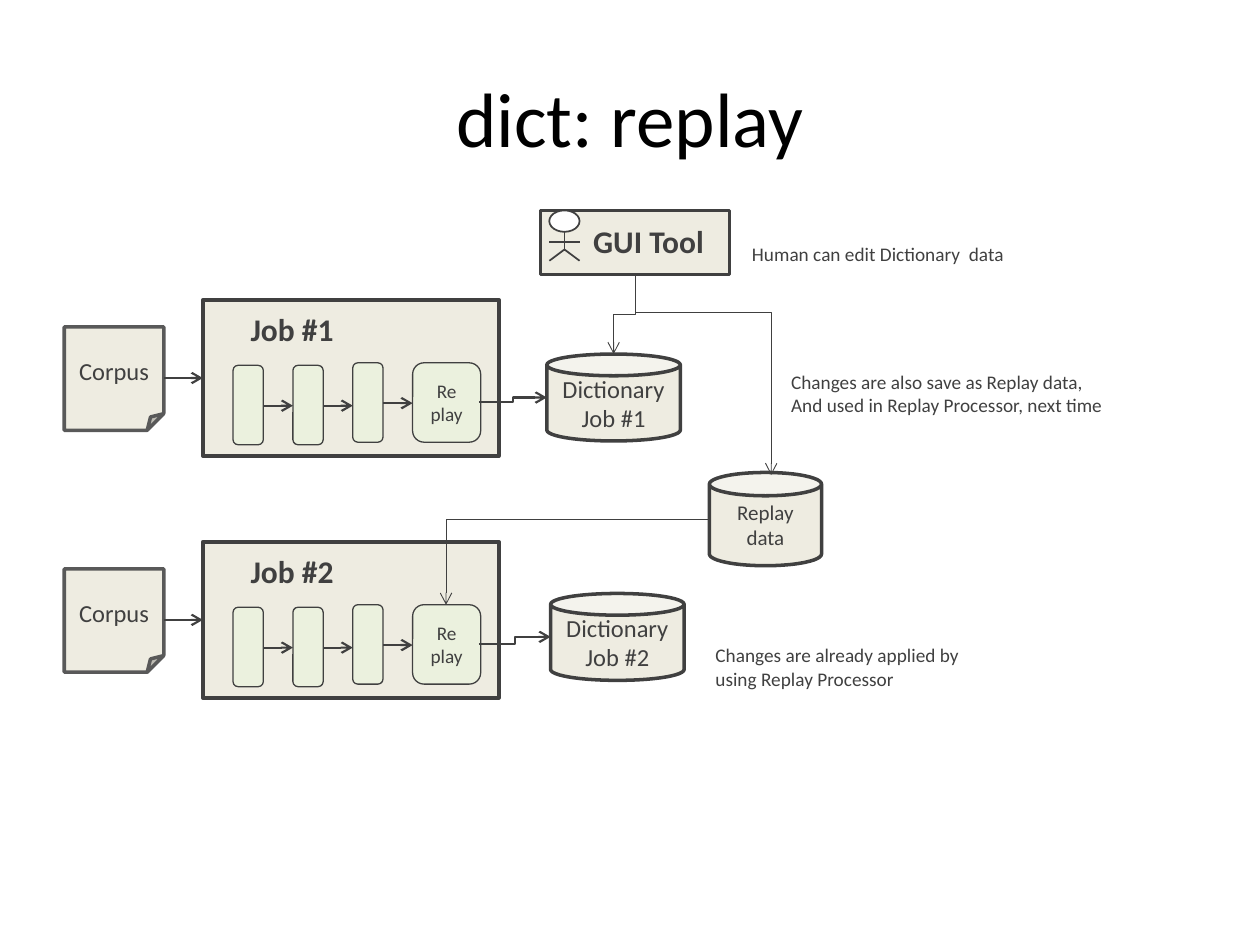
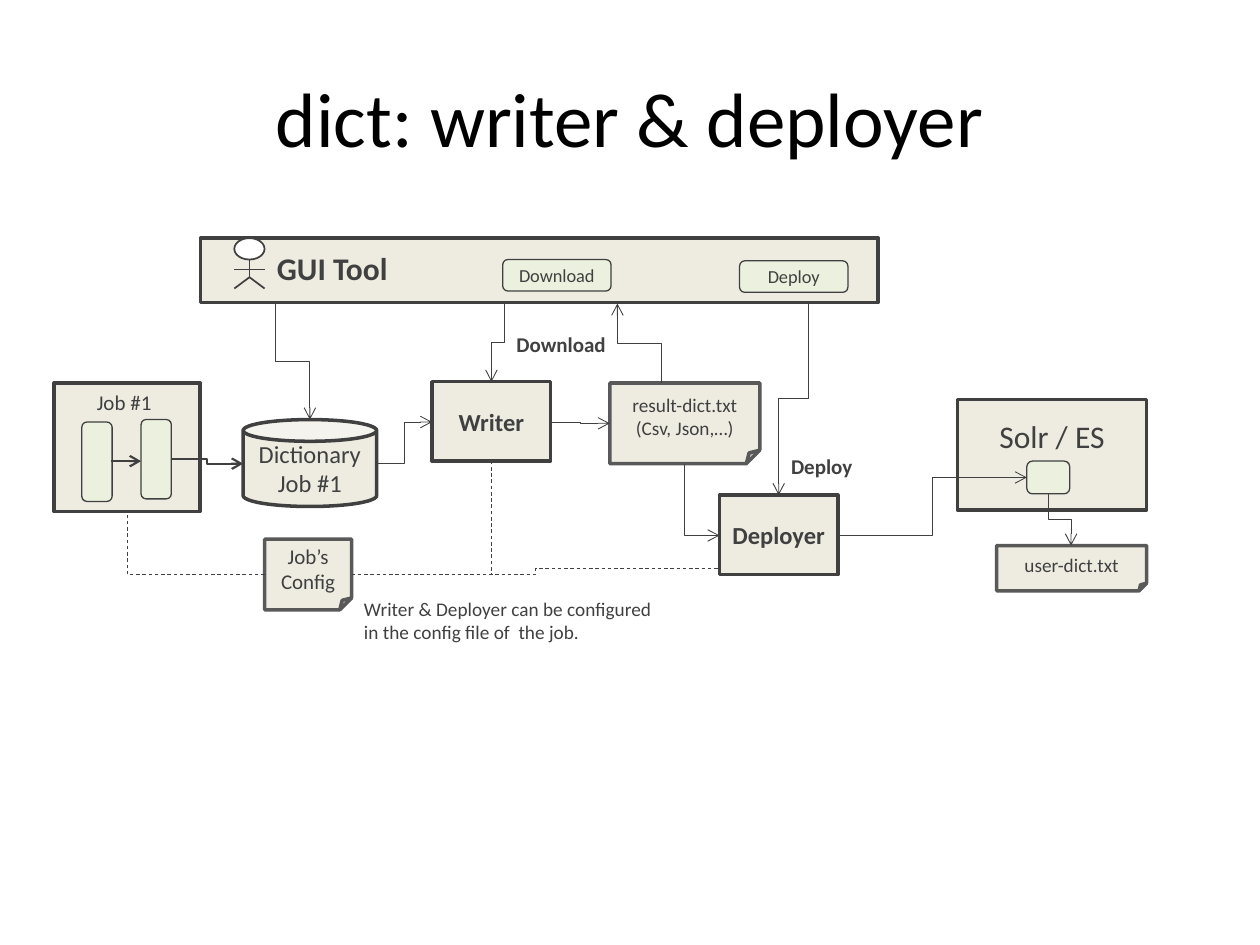
from dataclasses import dataclass

from lxml.etree import SubElement
from pptx import Presentation
from pptx.dml.color import RGBColor
from pptx.enum.dml import MSO_LINE
from pptx.enum.shapes import MSO_CONNECTOR, MSO_SHAPE
from pptx.enum.text import MSO_ANCHOR, MSO_AUTO_SIZE, PP_ALIGN
from pptx.oxml.ns import qn
from pptx.util import Inches, Pt


@dataclass(frozen=True)
class Theme:
    font: str = "Calibri"
    title_color: RGBColor = RGBColor(0, 0, 0)
    ink: RGBColor = RGBColor(0x40, 0x40, 0x40)
    note_line: RGBColor = RGBColor(0x59, 0x59, 0x59)
    beige: RGBColor = RGBColor(0xEE, 0xEC, 0xE1)
    green: RGBColor = RGBColor(0xEB, 0xF1, 0xDE)
    white: RGBColor = RGBColor(0xFF, 0xFF, 0xFF)
    title: float = 44
    heading: float = 18
    body: float = 14
    small: float = 12
    note: float = 11
    button: float = 10.5
    thin: float = 0.5
    flow: float = 1.25


T = Theme()

# Kind of part: preset shape, fill, line colour, line width
KINDS = {
    "box": (MSO_SHAPE.RECTANGLE, T.beige, T.ink, 2),
    "file": (MSO_SHAPE.FOLDED_CORNER, T.beige, T.note_line, 2),
    "store": (MSO_SHAPE.CAN, T.beige, T.ink, 2),
    "step": (MSO_SHAPE.ROUNDED_RECTANGLE, T.green, T.ink, 0.75),
    "head": (MSO_SHAPE.FLOWCHART_CONNECTOR, T.white, T.ink, 1),
}

# Sizes of recurring parts
STEP = (0.24, 0.63)
STEP_PITCH = 0.475
STORE = (1.06, 0.69)
ACTION = (0.94, 0.63)
BUTTON = (0.86, 0.25)

# Content: parts are (kind, left, top, (width, height), text, size, bold)
# links are (start, end, route, extras); routes: H/V = first direction,
# 3/2 = number of segments
# labels are (left, top, (width, height), text, size, bold)
REPLAY = {
    "title": "dict: replay",
    "jobs": [("Job #1", 2.38, (4.34, 2.81)), ("Job #2", 4.30, (4.37, 4.71))],
    "parts": [
        ("box", 4.29, 1.67, (1.5, 0.51), "", T.body, False),
        ("store", 5.63, 3.75, (0.89, 0.74), "Replay\ndata", T.small, False),
    ],
    "human": (4.36, 1.67),
    "links": [
        ((5.04, 2.18), (4.87, 2.81), "V3", {}),
        ((5.04, 2.49), (6.12, 3.77), "V3", {"adj": -0.011}),
        ((5.63, 4.12), (3.54, 4.8), "H2", {}),
    ],
    "labels": [
        (4.61, 1.71, (1.26, 0.4), "GUI Tool", T.heading, True),
        (5.87, 1.87, (2.3, 0.29), "Human can edit Dictionary  data", T.note, False),
        (6.18, 2.89, (2.83, 0.47), "Changes are also save as Replay data,\n"
         "And used in Replay Processor, next time", T.note, False),
        (5.58, 5.06, (2.3, 0.47), "Changes are already applied by using Replay Processor",
         T.note, False),
    ],
}

DEPLOY = {
    "title": "dict: writer & deployer",
    "jobs": [],
    "parts": [
        ("box", 0.43, 3.04, (1.16, 1.02), "", T.body, False),
        ("step", 0.65, 3.35, STEP, "", T.note, False),
        ("step", 1.12, 3.33, STEP, "", T.note, False),
        ("store", 1.93, 3.33, STORE, "Dictionary\nJob #1", T.body, False),
        ("box", 1.59, 1.89, (5.38, 0.51), "", T.body, False),
        ("step", 3.99, 2.06, BUTTON, "Download", T.button, False),
        ("step", 5.87, 2.07, BUTTON, "Deploy", T.button, False),
        ("box", 3.43, 3.03, ACTION, "Writer", T.body, True),
        ("box", 5.71, 3.93, ACTION, "Deployer", T.body, True),
        ("file", 4.84, 3.04, (1.19, 0.64), "result-dict.txt\n(Csv, Json,…)", T.note, False),
        ("box", 7.6, 3.17, (1.5, 0.88), "Solr / ES", T.heading, False),
        ("step", 8.15, 3.66, (0.34, 0.26), "", T.note, False),
        ("file", 7.91, 4.33, (1.19, 0.36), "user-dict.txt", T.note, False),
        ("file", 2.1, 4.28, (0.69, 0.56), "Job’s\nConfig", T.small, False),
    ],
    "human": (1.86, 1.89),
    "links": [
        ((0.88, 3.66), (1.12, 3.66), "", {"width": T.flow}),
        ((1.36, 3.64), (1.93, 3.68), "H3", {"width": T.flow}),
        ((2.19, 2.41), (2.46, 3.33), "V3", {}),
        ((2.99, 3.68), (3.43, 3.35), "H3", {}),
        ((4.37, 3.35), (4.84, 3.36), "H3", {}),
        ((6.65, 4.25), (8.15, 3.79), "H3", {}),
        ((8.32, 3.92), (8.5, 4.33), "V3", {}),
        ((5.43, 3.68), (5.71, 4.25), "V2", {}),
        ((4, 2.41), (3.9, 3.03), "V3", {}),
        ((5.25, 3.04), (4.9, 2.41), "V3", {}),
        ((6.42, 2.4), (6.18, 3.93), "V3", {}),
        ((2.79, 4.56), (3.9, 3.66), "H2", {"config": True}),
        ((2.79, 4.56), (5.71, 4.51), "H3", {"config": True}),
        ((2.1, 4.56), (1.01, 4.06), "H2", {"config": True}),
    ],
    "labels": [
        (0.67, 3.04, (0.79, 0.3), "Job #1", T.small, False),
        (2.1, 1.93, (1.26, 0.4), "GUI Tool", T.heading, True),
        (4, 2.58, (1.08, 0.3), "Download", T.small, True),
        (6.18, 3.55, (1.08, 0.3), "Deploy", T.small, True),
        (2.79, 4.69, (2.61, 0.47),
         "Writer & Deployer can be configured in the config file of  the job.",
         T.note, False),
    ],
}


# Text and shapes
def write(tf, text, size, bold=False, color=T.ink, align=PP_ALIGN.LEFT):
    tf.word_wrap = True
    for i, line in enumerate(text.split("\n")):
        p = tf.paragraphs[0] if i == 0 else tf.add_paragraph()
        p.alignment = align
        r = p.add_run()
        r.text = line
        r.font.name, r.font.size, r.font.bold = T.font, Pt(size), bold
        r.font.color.rgb = color


def add_part(shapes, kind, left, top, size, text="", pt=T.body, bold=False):
    preset, fill, line, width = KINDS[kind]
    sp = shapes.add_shape(preset, *map(Inches, (left, top, *size)))
    sp.shadow.inherit = False
    sp.fill.solid()
    sp.fill.fore_color.rgb = fill
    sp.line.color.rgb = line
    sp.line.width = Pt(width)
    if text:
        tf = sp.text_frame
        tf.vertical_anchor = MSO_ANCHOR.MIDDLE
        tf.margin_left = tf.margin_right = Inches(0.05)
        if kind == "box" and pt == T.heading:  # room for the step below the name
            tf.margin_bottom = Inches(0.35)
        write(tf, text, pt, bold, align=PP_ALIGN.CENTER)


def add_label(s, left, top, size, text, pt, bold):
    tf = s.shapes.add_textbox(*map(Inches, (left, top, *size))).text_frame
    write(tf, text, pt, bold)
    tf.auto_size = MSO_AUTO_SIZE.SHAPE_TO_FIT_TEXT


# Connectors
def add_link(shapes, start, end, route="", width=T.thin, arrow=True, config=False, adj=None):
    (x1, y1), (x2, y2) = start, end
    dx, dy = x2 - x1, y2 - y1
    angle = 0
    if route.startswith("V"):
        angle = 90 if dx < 0 < dy else 270
    elif route and dx < 0:
        angle = 180
    # Vector from start to end before the connector is turned about its centre
    u, v = {0: (dx, dy), 90: (dy, -dx), 180: (-dx, -dy), 270: (-dy, dx)}[angle]
    cx, cy = (x1 + x2) / 2, (y1 + y2) / 2
    ends = (cx - u / 2, cy - v / 2, cx + u / 2, cy + v / 2)
    kind = MSO_CONNECTOR.ELBOW if route else MSO_CONNECTOR.STRAIGHT
    c = shapes.add_connector(kind, *map(Inches, ends))
    c.line.color.rgb = T.ink
    c.line.width = Pt(width)
    if config:
        c.line.dash_style = MSO_LINE.DASH
    spPr = c._element.spPr
    if angle:
        spPr.find(qn("a:xfrm")).set("rot", str(angle * 60000))
    geom = spPr.find(qn("a:prstGeom"))
    if route.endswith("2"):
        geom.set("prst", "bentConnector2")
    if adj is not None:
        SubElement(geom.find(qn("a:avLst")), qn("a:gd"), name="adj1",
                   fmla=f"val {round(adj * 100000)}")
    if arrow and not config:
        SubElement(spPr.find(qn("a:ln")), qn("a:tailEnd"), type="arrow")
    SubElement(spPr, qn("a:effectLst"))


# Compound figures
def add_human(s, left, top):
    shapes = s.shapes.add_group_shape().shapes
    add_part(shapes, "head", left, top, (0.24, 0.17))
    limbs = [((0, 0.25), (0.24, 0.25)), ((0.12, 0.17), (0.12, 0.32)),
             ((0.12, 0.31), (0, 0.4)), ((0.12, 0.31), (0.24, 0.4))]
    for (ax, ay), (bx, by) in limbs:
        add_link(shapes, (left + ax, top + ay), (left + bx, top + by), width=1, arrow=False)


def add_job(s, name, top, store):
    add_part(s.shapes, "box", 1.61, top, (2.35, 1.24))
    add_part(s.shapes, "file", 0.51, top + 0.215, (0.79, 0.82), "Corpus")
    add_part(s.shapes, "store", *store, STORE, f"Dictionary\n{name}")
    add_link(s.shapes, (1.3, top + 0.62), (1.61, top + 0.62), width=T.flow)
    lefts = [1.85 + i * STEP_PITCH for i in range(4)]
    for left, drop in zip(lefts, (0.52, 0.52, 0.5)):
        add_part(s.shapes, "step", left, top + drop, STEP)
    add_part(s.shapes, "step", lefts[3], top + 0.5, (0.54, 0.63), "Re\nplay", T.note)
    for left, following, drop in zip(lefts, lefts[1:], (0.84, 0.84, 0.82)):
        add_link(s.shapes, (left + STEP[0], top + drop), (following, top + drop), width=T.flow)
    add_link(s.shapes, (3.8, top + 0.81), (store[0], store[1] + STORE[1] / 2), "H3",
             width=T.flow)
    add_label(s, 1.89, top + 0.03, (1.26, 0.4), name, T.heading, True)


def add_slide(prs, content):
    s = prs.slides.add_slide(prs.slide_layouts[5])
    title = s.shapes.title
    title.left, title.top, title.width, title.height = map(Inches, (0.5, 0.3, 9, 1.25))
    title.text_frame.vertical_anchor = MSO_ANCHOR.MIDDLE
    write(title.text_frame, content["title"], T.title, color=T.title_color,
          align=PP_ALIGN.CENTER)
    for job in content["jobs"]:
        add_job(s, *job)
    for part in content["parts"]:
        add_part(s.shapes, *part)
    add_human(s, *content["human"])
    for start, end, route, extras in content["links"]:
        add_link(s.shapes, start, end, route, **extras)
    for label in content["labels"]:
        add_label(s, *label)


def main():
    prs = Presentation()
    prs.slide_width, prs.slide_height = Inches(10), Inches(7.5)
    for content in (REPLAY, DEPLOY):
        add_slide(prs, content)
    prs.save("out.pptx")


if __name__ == "__main__":
    main()
